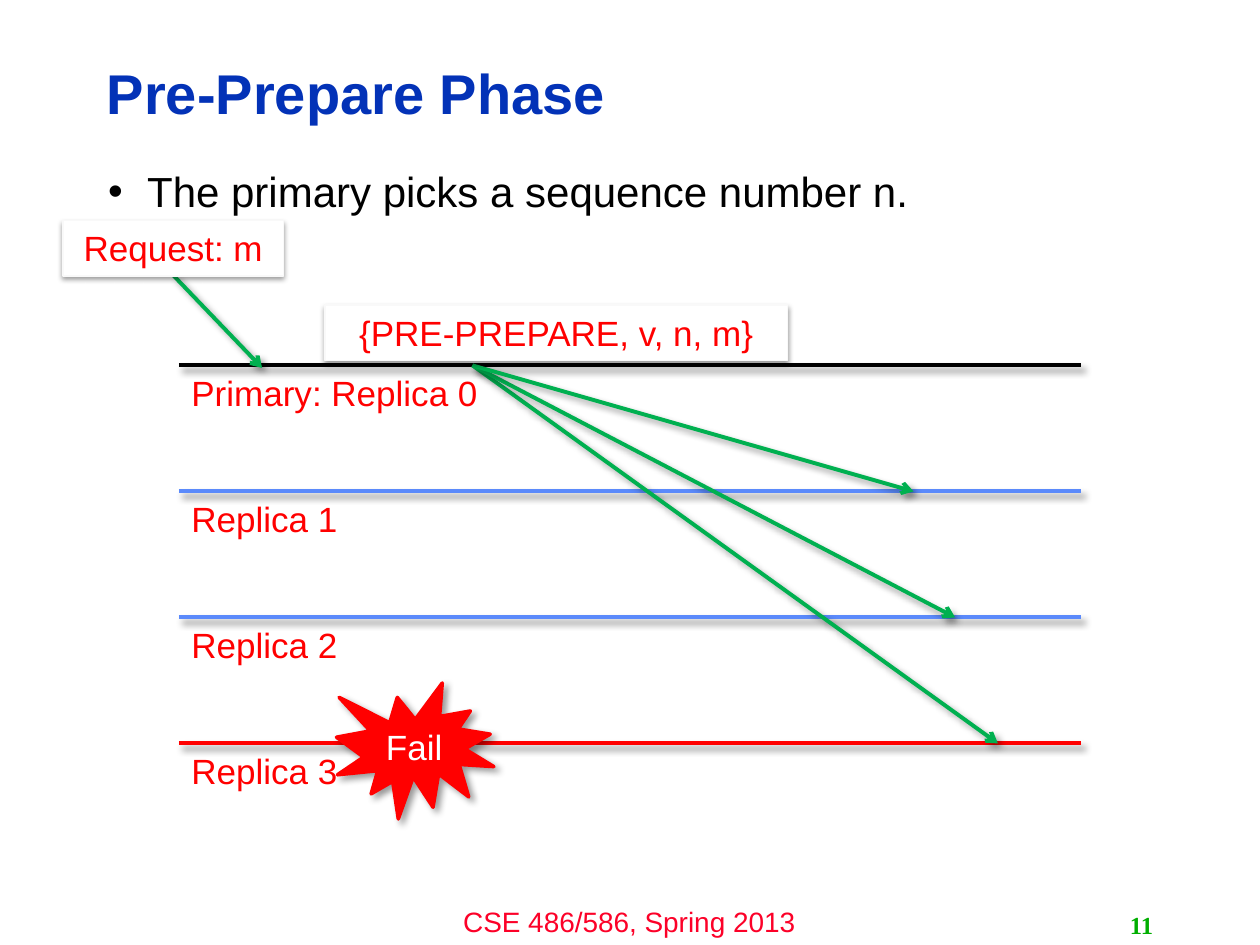
from dataclasses import dataclass

from lxml import etree
from pptx import Presentation
from pptx.dml.color import RGBColor
from pptx.enum.shapes import MSO_CONNECTOR, MSO_SHAPE
from pptx.enum.text import MSO_ANCHOR, PP_ALIGN
from pptx.oxml.ns import qn
from pptx.util import Inches, Pt

LEFT, CENTER, RIGHT = PP_ALIGN.LEFT, PP_ALIGN.CENTER, PP_ALIGN.RIGHT
TOP, MIDDLE = MSO_ANCHOR.TOP, MSO_ANCHOR.MIDDLE
STRAIGHT = MSO_CONNECTOR.STRAIGHT
RECT, SEAL = MSO_SHAPE.RECTANGLE, MSO_SHAPE.EXPLOSION1


@dataclass(frozen=True)
class Theme:
    sans: str = "Arial"
    serif: str = "Times New Roman"
    title: str = "0332B7"
    footer: str = "FC0128"
    number: str = "00AE00"
    black: str = "000000"
    white: str = "FFFFFF"
    red: str = "FF0000"
    blue: str = "5B8AFB"
    green: str = "00B050"
    box_edge: str = "F9F9F9"
    title_size: int = 32
    body_size: int = 24
    label_size: int = 20
    footer_size: int = 16
    number_size: int = 14
    line_width: float = 2.25


@dataclass(frozen=True)
class Shadow:
    alpha: int
    blur: float
    dist: float
    angle: int


@dataclass(frozen=True)
class Style:
    size: int
    color: str
    font: str = "Arial"
    bold: bool = False
    align: PP_ALIGN = LEFT
    anchor: MSO_ANCHOR = TOP


@dataclass(frozen=True)
class Replica:
    name: str
    color: str
    label_width: float = 1.75
    arrow_x: float | None = None


@dataclass(frozen=True)
class Callout:
    text: str
    box: tuple
    shape: MSO_SHAPE
    fill: str
    edge: str
    edge_width: float
    shadow: Shadow
    style: Style


T = Theme()
LINE_SHADOW = Shadow(40, 4, 3, 45)
BOX_SHADOW = Shadow(38, 3.1, 1.6, 90)
LABEL = Style(T.label_size, T.red)
BOX_TEXT = Style(T.label_size, T.red, align=CENTER)
SEAL_TEXT = Style(T.label_size, T.white, align=CENTER, anchor=MIDDLE)

LINE_LEFT, LINE_RIGHT = 1.42, 8.58
FIRST_LINE, LINE_GAP = 2.9, 1.0
SEND_X = 3.75
LABEL_HEIGHT = 0.44

REPLICAS = [
    Replica("Primary: Replica 0", T.black, label_width=2.67),
    Replica("Replica 1", T.blue, arrow_x=7.25),
    Replica("Replica 2", T.blue, arrow_x=7.58),
    Replica("Replica 3", T.red, arrow_x=7.92),
]
CALLOUTS = [
    Callout("Request: m", (0.5, 1.75, 1.75, LABEL_HEIGHT), RECT,
            T.white, T.box_edge, 0.75, BOX_SHADOW, BOX_TEXT),
    Callout("{PRE-PREPARE, v, n, m}", (2.58, 2.42, 3.67, LABEL_HEIGHT), RECT,
            T.white, T.box_edge, 0.75, BOX_SHADOW, BOX_TEXT),
    Callout("Fail", (2.67, 5.42, 1.25, 1.08), SEAL,
            T.red, T.red, 2, LINE_SHADOW, SEAL_TEXT),
]


def rgb(color: str) -> RGBColor:
    return RGBColor.from_string(color)


def add_shadow(sp, shadow: Shadow) -> None:
    """Give a shape or connector an outer shadow; its line must be set first."""
    sp_pr = sp._element.spPr
    effects = etree.SubElement(sp_pr, qn("a:effectLst"))
    outer = etree.SubElement(
        effects, qn("a:outerShdw"), blurRad=str(Pt(shadow.blur)),
        dist=str(Pt(shadow.dist)), dir=str(shadow.angle * 60000),
        algn="ctr", rotWithShape="0")
    clr = etree.SubElement(outer, qn("a:srgbClr"), val=T.black)
    etree.SubElement(clr, qn("a:alpha"), val=str(shadow.alpha * 1000))


def add_bullet(p, indent: float) -> None:
    p_pr = p._p.get_or_add_pPr()
    p_pr.set("marL", str(Inches(indent)))
    p_pr.set("indent", str(-Inches(indent)))
    etree.SubElement(p_pr, qn("a:buFont"), typeface=T.sans)
    etree.SubElement(p_pr, qn("a:buChar"), char="•")


def write(sp, text: str, style: Style):
    tf = sp.text_frame
    tf.word_wrap = True
    tf.vertical_anchor = style.anchor
    p = tf.paragraphs[0]
    p.alignment = style.align
    r = p.add_run()
    r.text = text
    r.font.name = style.font
    r.font.size = Pt(style.size)
    r.font.bold = style.bold
    r.font.color.rgb = rgb(style.color)
    return p


def add_text(s, box: tuple, text: str, style: Style):
    return write(s.shapes.add_textbox(*map(Inches, box)), text, style)


def add_line(s, start: tuple, end: tuple, color: str, arrow: bool = False) -> None:
    cn = s.shapes.add_connector(STRAIGHT, *map(Inches, start + end))
    cn.line.color.rgb = rgb(color)
    cn.line.width = Pt(T.line_width)
    if arrow:
        etree.SubElement(cn.line._get_or_add_ln(), qn("a:tailEnd"), type="arrow")
    add_shadow(cn, LINE_SHADOW)


def add_callout(s, callout: Callout) -> None:
    sp = s.shapes.add_shape(callout.shape, *map(Inches, callout.box))
    sp.fill.solid()
    sp.fill.fore_color.rgb = rgb(callout.fill)
    sp.line.color.rgb = rgb(callout.edge)
    sp.line.width = Pt(callout.edge_width)
    add_shadow(sp, callout.shadow)
    write(sp, callout.text, callout.style)


def main() -> None:
    prs = Presentation()
    prs.slide_width, prs.slide_height = Inches(10), Inches(7.5)
    s = prs.slides.add_slide(prs.slide_layouts[6])

    # Footer, title, body and page number
    add_text(s, (3.33, 7.13, 3.33, 0.37), "CSE 486/586, Spring 2013",
             Style(T.footer_size, T.footer, align=CENTER))
    p = add_text(s, (0.75, 0.36, 7.98, 0.81), "Pre-Prepare Phase",
                 Style(T.title_size, T.title, bold=True, anchor=MIDDLE))
    p.line_spacing = 0.9
    p = add_text(s, (0.76, 1.31, 8.4, 5.39), "The primary picks a sequence number n.",
                 Style(T.body_size, T.black))
    p.line_spacing = 0.9
    add_bullet(p, 0.31)
    add_text(s, (7.17, 7.18, 2.08, 0.32), "11",
             Style(T.number_size, T.number, T.serif, True, RIGHT, MIDDLE))

    # Replica timelines
    rows = [(FIRST_LINE + i * LINE_GAP, rep) for i, rep in enumerate(REPLICAS)]
    for y, rep in rows:
        add_line(s, (LINE_LEFT, y), (LINE_RIGHT, y), rep.color)

    # Messages from the primary, longest first
    for y, rep in reversed(rows):
        if rep.arrow_x is not None:
            add_line(s, (SEND_X, FIRST_LINE), (rep.arrow_x, y), T.green, arrow=True)

    # Replica names
    for y, rep in rows:
        add_text(s, (LINE_LEFT, y, rep.label_width, LABEL_HEIGHT), rep.name, LABEL)

    # Client request, message boxes and failure mark
    add_line(s, (1.38, 2.19), (2.08, 2.92), T.green, arrow=True)
    for callout in CALLOUTS:
        add_callout(s, callout)

    prs.save("out.pptx")


if __name__ == "__main__":
    main()
